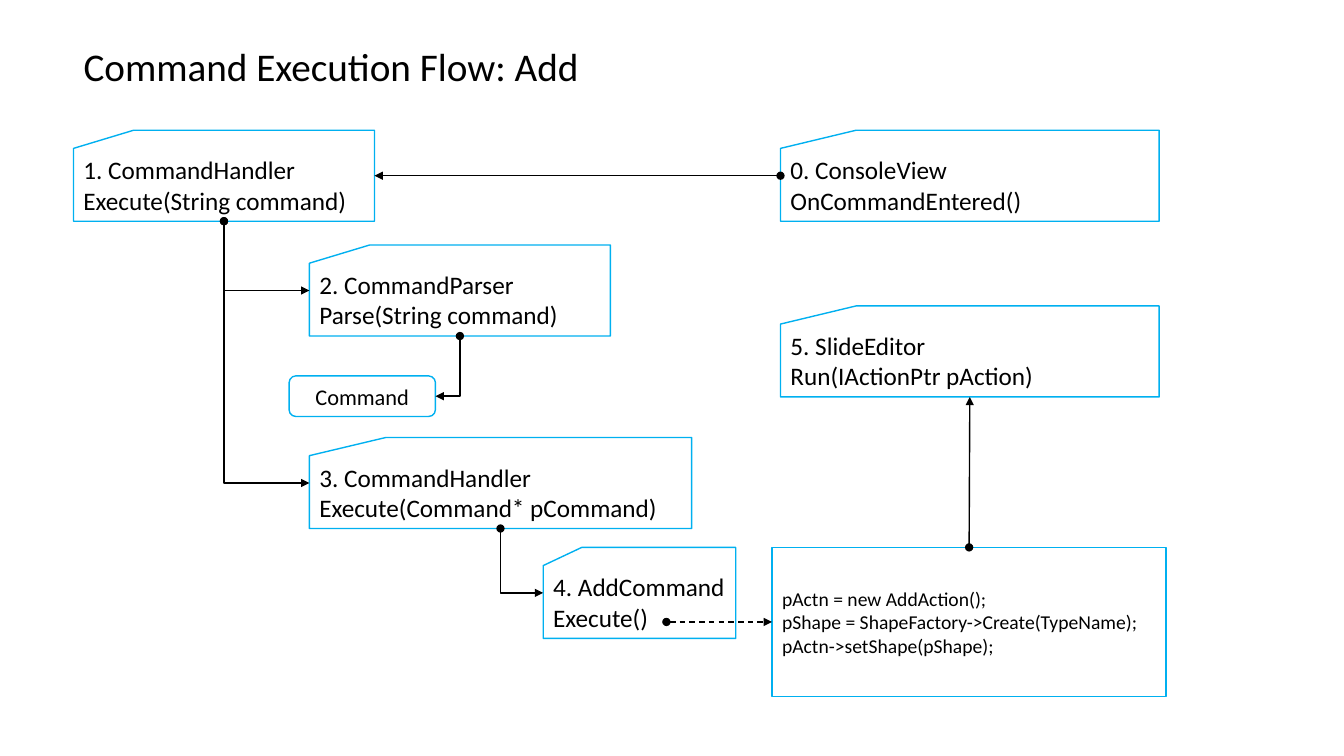
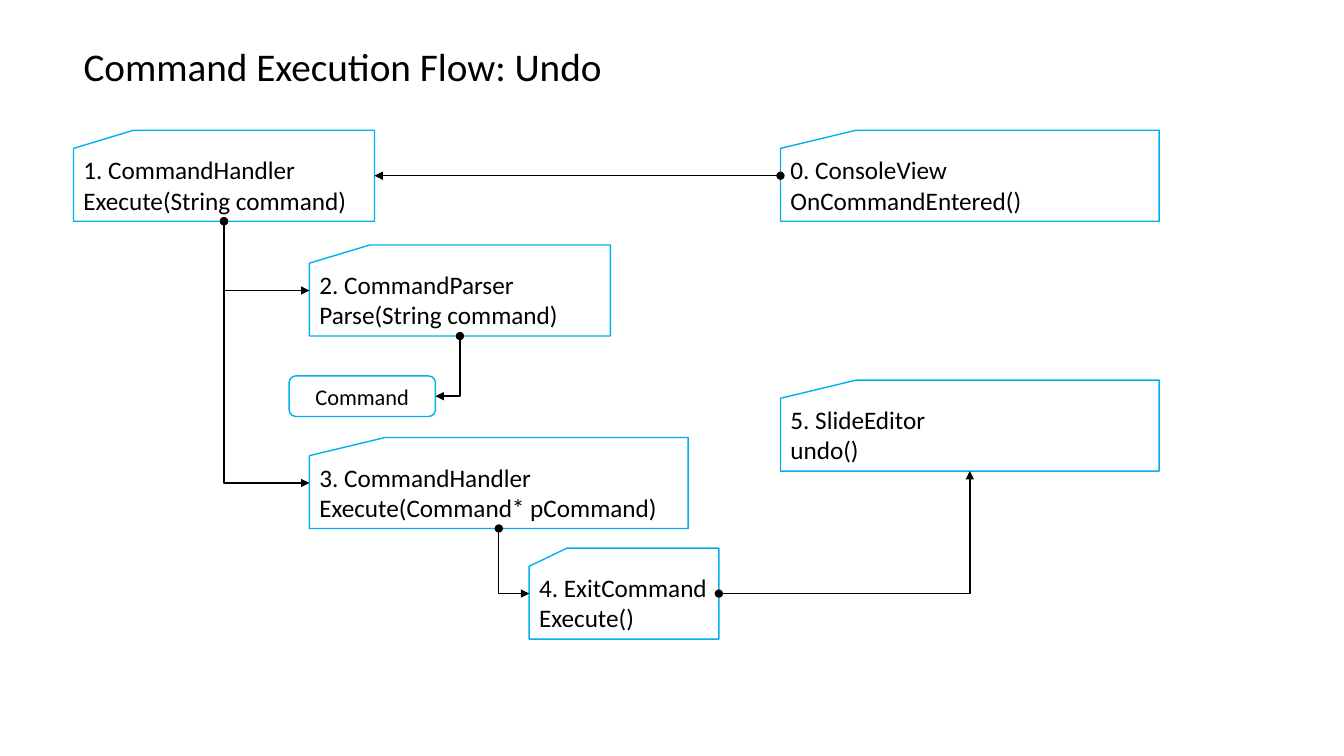
import pptx
import pptx.util
import pptx.dml.color
import pptx.enum.dml
import pptx.enum.shapes
import pptx.enum.text
import pptx.oxml
import pptx.oxml.ns

Pt = pptx.util.Pt
RGBColor = pptx.dml.color.RGBColor
MSO_SHAPE = pptx.enum.shapes.MSO_SHAPE
MSO_CONNECTOR = pptx.enum.shapes.MSO_CONNECTOR
MSO_ANCHOR = pptx.enum.text.MSO_ANCHOR
PP_ALIGN = pptx.enum.text.PP_ALIGN
qn = pptx.oxml.ns.qn

BLACK = RGBColor(0x00, 0x00, 0x00)
BLUE = RGBColor(0x00, 0xB0, 0xF0)
FONT = "Calibri"
CARD_H = 65
LEFT_X, MID_X, RIGHT_X = 52.5, 221, 557.5
NARROW, WIDE = 215, 270.5
TOP, LEFT, BOTTOM, RIGHT = range(4)


class FlowDeck:
    """Draw call-flow slides in one shared style."""

    def __init__(self):
        self.prs = pptx.Presentation()
        self.prs.slide_width, self.prs.slide_height = Pt(960), Pt(540)

    def slide(self, title, width):
        self.s = self.prs.slides.add_slide(self.prs.slide_layouts[5])
        sp = self.s.shapes.title
        sp.left, sp.top, sp.width, sp.height = Pt(52.5), Pt(26.5), Pt(width), Pt(41)
        self.fill_text(sp.text_frame, title, 28, PP_ALIGN.LEFT, MSO_ANCHOR.TOP)
        sp.text_frame.word_wrap = False
        sp.text_frame.auto_size = pptx.enum.text.MSO_AUTO_SIZE.SHAPE_TO_FIT_TEXT

    def fill_text(self, tf, text, size, align, anchor=MSO_ANCHOR.MIDDLE):
        tf.text = text
        tf.vertical_anchor = anchor
        for p in tf.paragraphs:
            p.alignment = align
            for r in p.runs:
                r.font.name, r.font.size = FONT, Pt(size)
                r.font.color.rgb = BLACK

    def box(self, kind, x, y, w, h, text, size, align=PP_ALIGN.LEFT):
        sp = self.s.shapes.add_shape(kind, Pt(x), Pt(y), Pt(w), Pt(h))
        sp.shadow.inherit = False
        sp.fill.background()
        sp.line.color.rgb, sp.line.width = BLUE, Pt(1)
        self.fill_text(sp.text_frame, text, size, align)
        return sp

    def card(self, x, y, w, text):
        return self.box(MSO_SHAPE.FLOWCHART_CARD, x, y, w, CARD_H, text, 18)

    def connector(self, kind, x=0, y=0):
        cxn = self.s.shapes.add_connector(kind, Pt(x), Pt(y), Pt(x), Pt(y))
        cxn.line.color.rgb, cxn.line.width = BLACK, Pt(1)
        sppr = cxn._element.spPr
        ns = pptx.oxml.ns.nsdecls("a")
        for tag, end in (("a:headEnd", "oval"), ("a:tailEnd", "triangle")):
            sppr.find(qn("a:ln")).append(pptx.oxml.parse_xml(f'<{tag} {ns} type="{end}"/>'))
        sppr.append(pptx.oxml.parse_xml(f"<a:effectLst {ns}/>"))
        return cxn

    def arrow(self, start, start_site, end, end_site):
        cxn = self.connector(MSO_CONNECTOR.STRAIGHT)
        cxn.begin_connect(start, start_site)
        cxn.end_connect(end, end_site)

    def dashed_arrow(self, x, y, end, end_site):
        cxn = self.connector(MSO_CONNECTOR.STRAIGHT, x, y)
        cxn.end_connect(end, end_site)
        cxn.line.dash_style = pptx.enum.dml.MSO_LINE.DASH

    def bend(self, start, start_site, end, end_site):
        cxn = self.connector(MSO_CONNECTOR.ELBOW)
        cxn.begin_connect(start, start_site)
        cxn.end_connect(end, end_site)
        x1, y1, x2, y2 = cxn.begin_x, cxn.begin_y, cxn.end_x, cxn.end_y
        w, h = abs(x2 - x1), abs(y2 - y1)
        rot, flip_h, flip_v = 0, x2 < x1, y2 < y1
        if start_site == BOTTOM:
            w, h = h, w
            rot, flip_h = (270, True) if x2 > x1 else (90, False)
        cxn.left, cxn.top = (x1 + x2 - w) // 2, (y1 + y2 - h) // 2
        cxn.width, cxn.height = w, h
        sppr = cxn._element.spPr
        sppr.find(qn("a:prstGeom")).set("prst", "bentConnector2")
        xfrm = sppr.find(qn("a:xfrm"))
        xfrm.set("rot", str(rot * 60000))
        xfrm.set("flipH", str(int(flip_h)))
        xfrm.set("flipV", str(int(flip_v)))

    def flow(self, title, title_w, execute_w, command, editor):
        self.slide(title, title_w)
        handler = self.card(LEFT_X, 93, NARROW, "1. CommandHandler\nExecute(String command)")
        parser = self.card(MID_X, 175, NARROW, "2. CommandParser\nParse(String command)")
        result = self.box(MSO_SHAPE.ROUNDED_RECTANGLE, 206.5, 268.5, 104.5, 29,
                          "Command", 16, PP_ALIGN.CENTER)
        executor = self.card(MID_X, 312.5, execute_w,
                             "3. CommandHandler\nExecute(Command* pCommand)")
        view = self.card(RIGHT_X, 93, WIDE, "0. ConsoleView\nOnCommandEntered()")
        command_card = self.card(*command)
        editor_card = self.card(RIGHT_X, editor[0], WIDE, editor[1])
        self.arrow(view, LEFT, handler, RIGHT)
        self.bend(handler, BOTTOM, parser, LEFT)
        self.bend(handler, BOTTOM, executor, LEFT)
        self.bend(parser, BOTTOM, result, RIGHT)
        self.bend(executor, BOTTOM, command_card, LEFT)
        return command_card, editor_card


deck = FlowDeck()

_, editor = deck.flow("Command Execution Flow: Add", 372, 273,
                      (388, 391, 137.5, "4. AddCommand\nExecute()"),
                      (218.5, "5. SlideEditor\nRun(IActionPtr pAction)"))
action = deck.box(MSO_SHAPE.RECTANGLE, 551.5, 391, 281.5, 106.5,
                  "pActn = new AddAction();\n"
                  "pShape = ShapeFactory->Create(TypeName);\n"
                  "pActn->setShape(pShape);", 14)
deck.arrow(action, TOP, editor, BOTTOM)
deck.dashed_arrow(476, 444.25, action, LEFT)

command, editor = deck.flow("Command Execution Flow: Undo", 389, WIDE,
                            (378, 391.5, 135.5, "4. ExitCommand\nExecute()"),
                            (271.5, "5. SlideEditor\nundo()"))
deck.bend(command, RIGHT, editor, BOTTOM)

deck.prs.save("out.pptx")
